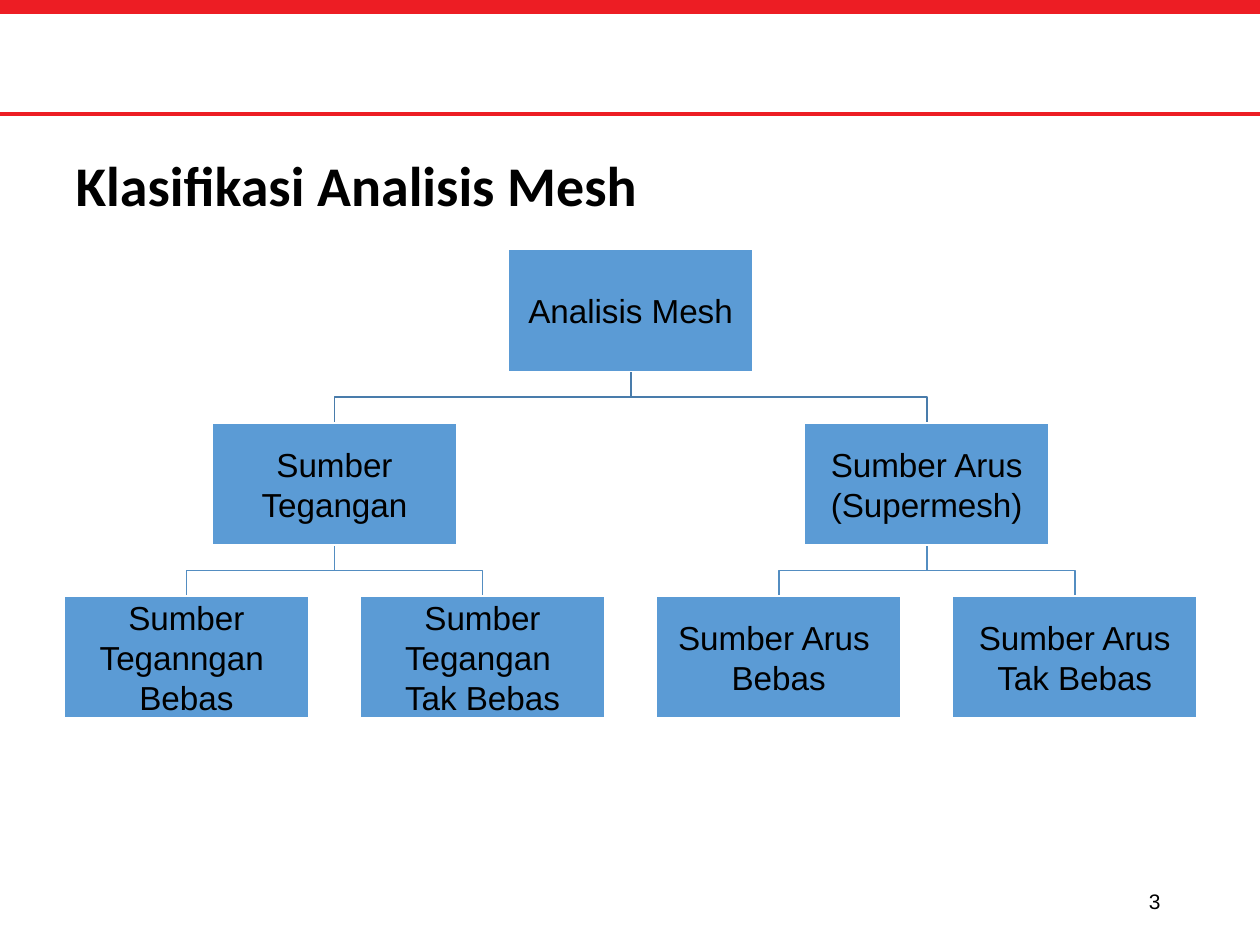
from dataclasses import dataclass

import pptx
import pptx.dml.color
import pptx.enum.shapes
import pptx.enum.text
import pptx.util
from pptx.util import Inches

ALIGN = pptx.enum.text.PP_ALIGN
MIDDLE = pptx.enum.text.MSO_ANCHOR.MIDDLE
RECTANGLE = pptx.enum.shapes.MSO_SHAPE.RECTANGLE


@dataclass(frozen=True)
class Theme:
    band: str = "ED1D24"
    box: str = "5B9BD5"
    box_edge: str = "FFFFFF"
    links: tuple[str, ...] = ("497CAB", "538DC1")  # by tree level
    ink: str = "000000"
    title_font: str = "Calibri"
    body_font: str = "Arial"
    title_size: int = 32
    box_size: int = 19
    number_size: int = 12


@dataclass(frozen=True)
class Node:
    lines: tuple[str, ...]
    column: float  # centre, counted in leaf columns
    level: int
    children: tuple["Node", ...] = ()

    @property
    def center(self) -> float:
        return FIRST_CENTER + self.column * COLUMN_STEP

    @property
    def top(self) -> float:
        return TREE_TOP + self.level * LEVEL_STEP


THEME = Theme()
BOX_WIDTH, BOX_HEIGHT = 1.94, 0.97
FIRST_CENTER, COLUMN_STEP = 1.48, 2.35
TREE_TOP, LEVEL_STEP = 1.98, 1.375

TREE = Node(("Analisis Mesh",), 1.5, 0, (
    Node(("Sumber Tegangan",), 0.5, 1, (
        Node(("Sumber Teganngan ", "Bebas"), 0, 2),
        Node(("Sumber Tegangan ", "Tak Bebas"), 1, 2),
    )),
    Node(("Sumber Arus", "(Supermesh)"), 2.5, 1, (
        Node(("Sumber Arus ", "Bebas"), 2, 2),
        Node(("Sumber Arus", "Tak Bebas"), 3, 2),
    )),
))


def color(code: str) -> pptx.dml.color.RGBColor:
    return pptx.dml.color.RGBColor.from_string(code)


def write(box, *lines: str, size: int, font: str = THEME.body_font,
          align=ALIGN.LEFT, bold: bool = False, spacing: float = 1.0,
          inset: float | None = None) -> None:
    """Fill a shape with one paragraph per line of text."""
    frame = box.text_frame
    frame.word_wrap = True
    frame.auto_size = pptx.enum.text.MSO_AUTO_SIZE.NONE
    frame.vertical_anchor = MIDDLE
    if inset is not None:
        frame.margin_left = frame.margin_right = Inches(inset)
        frame.margin_top = frame.margin_bottom = Inches(inset)
    for index, line in enumerate(lines):
        para = frame.add_paragraph() if index else frame.paragraphs[0]
        para.alignment = align
        para.line_spacing = spacing
        span = para.add_run()
        span.text = line
        span.font.name = font
        span.font.size = pptx.util.Pt(size)
        span.font.bold = bold
        span.font.color.rgb = color(THEME.ink)


def add_rectangle(page, left: float, top: float, width: float, height: float,
                  fill: str, edge: str | None = None):
    box = page.shapes.add_shape(RECTANGLE, Inches(left), Inches(top),
                                Inches(width), Inches(height))
    box.shadow.inherit = False
    box.fill.solid()
    box.fill.fore_color.rgb = color(fill)
    if edge:
        box.line.color.rgb = color(edge)
        box.line.width = pptx.util.Pt(1)
    else:
        box.line.fill.background()
    return box


def add_link(page, parent: Node, child: Node) -> None:
    """Draw the stepped line from a parent's bottom to a child's top."""
    start = parent.top + BOX_HEIGHT
    middle = (start + child.top) / 2
    builder = page.shapes.build_freeform(
        Inches(parent.center), Inches(start))
    builder.add_line_segments([
        (Inches(parent.center), Inches(middle)),
        (Inches(child.center), Inches(middle)),
        (Inches(child.center), Inches(child.top)),
    ], close=False)
    link = builder.convert_to_shape()
    link.shadow.inherit = False
    link.fill.background()
    link.line.color.rgb = color(THEME.links[parent.level])
    link.line.width = pptx.util.Pt(1)


def add_links(page, node: Node) -> None:
    for child in node.children:
        add_links(page, child)
        add_link(page, node, child)


def add_boxes(page, node: Node) -> None:
    box = add_rectangle(page, node.center - BOX_WIDTH / 2, node.top,
                        BOX_WIDTH, BOX_HEIGHT, THEME.box, THEME.box_edge)
    write(box, *node.lines, size=THEME.box_size, align=ALIGN.CENTER,
          inset=0.01)
    for child in node.children:
        add_boxes(page, child)


def main() -> None:
    deck = pptx.Presentation()
    deck.slide_width, deck.slide_height = Inches(10), Inches(7.5)
    page = deck.slides.add_slide(deck.slide_layouts[5])

    # Header bands
    for top, height in ((0, 0.11), (0.89, 0.03)):
        add_rectangle(page, 0, top, 10, height, THEME.band)

    # Title
    title = page.shapes.title
    title.left, title.top = Inches(0.5), Inches(0.87)
    title.width, title.height = Inches(9), Inches(1.25)
    write(title, "Klasifikasi Analisis Mesh", size=THEME.title_size,
          font=THEME.title_font, bold=True, spacing=0.9)

    # Classification tree, links behind boxes
    add_links(page, TREE)
    add_boxes(page, TREE)

    # Page number
    number = page.shapes.add_textbox(Inches(7.06), Inches(6.95),
                                     Inches(2.25), Inches(0.4))
    write(number, "3", size=THEME.number_size, align=ALIGN.RIGHT)

    deck.save("out.pptx")


if __name__ == "__main__":
    main()
